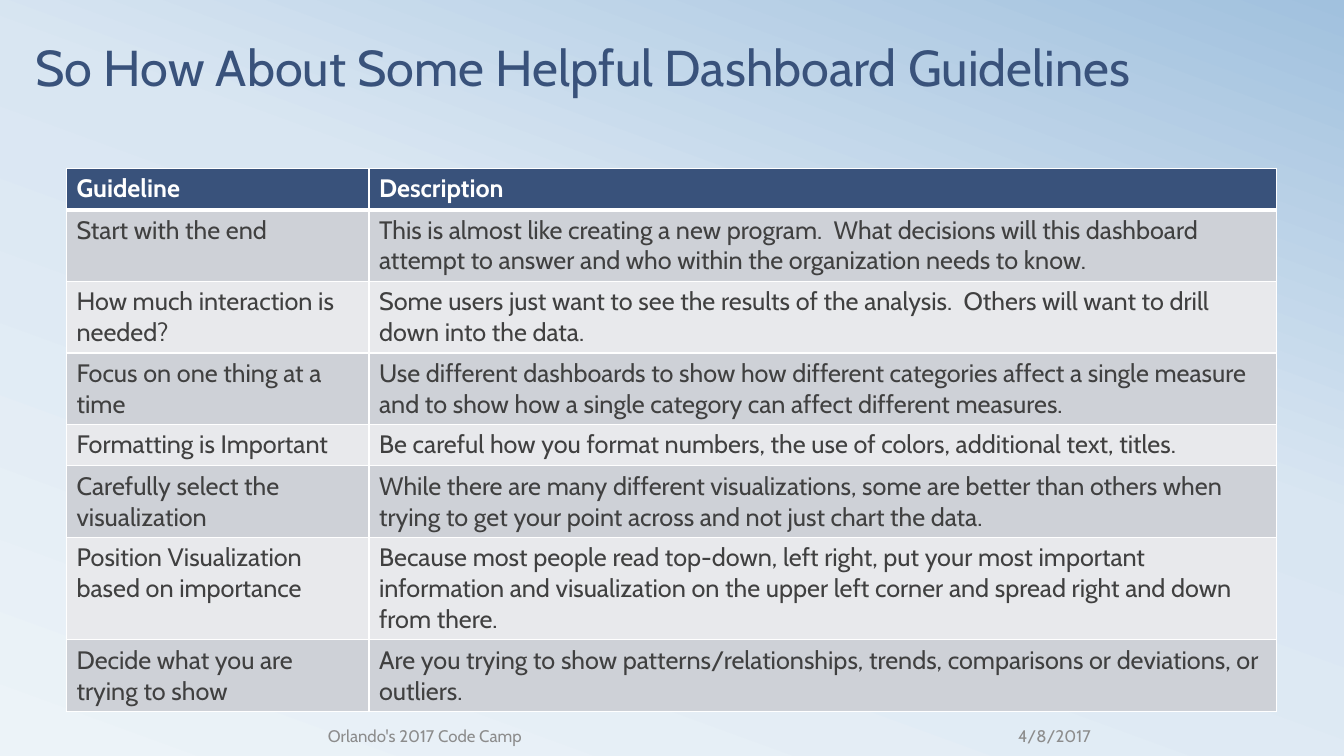
from copy import deepcopy
from dataclasses import dataclass

from lxml import etree
from pptx import Presentation
from pptx.dml.color import RGBColor
from pptx.enum.text import MSO_ANCHOR, MSO_AUTO_SIZE, PP_ALIGN
from pptx.oxml.ns import qn
from pptx.util import Pt

LEFT, CENTER = PP_ALIGN.LEFT, PP_ALIGN.CENTER
MIDDLE, BOTTOM = MSO_ANCHOR.MIDDLE, MSO_ANCHOR.BOTTOM
NO_AUTOFIT = MSO_AUTO_SIZE.NONE
PX = 9144  # 100 px to the inch

# Content
TITLE = "So How About Some Helpful Dashboard Guidelines"
GUIDELINES = [
    ("Guideline", "Description"),
    ("Start with the end",
     "This is almost like creating a new program.  What decisions will this dashboard "
     "attempt to answer and who within the organization needs to know."),
    ("How much interaction is needed?",
     "Some users just want to see the results of the analysis.  Others will want to drill "
     "down into the data."),
    ("Focus on one thing at a time",
     "Use different dashboards to show how different categories affect a single measure "
     "and to show how a single category can affect different measures."),
    ("Formatting is Important",
     "Be careful how you format numbers, the use of colors, additional text, titles."),
    ("Carefully select the visualization",
     "While there are many different visualizations, some are better than others when "
     "trying to get your point across and not just chart the data."),
    ("Position Visualization based on importance",
     "Because most people read top-down, left right, put your most important "
     "information and visualization on the upper left corner and spread right and down "
     "from there."),
    ("Decide what you are trying to show",
     "Are you trying to show patterns/relationships, trends, comparisons or deviations, or "
     "outliers."),
]
FOOTERS = [  # text, box in px, alignment
    ("4/8/2017", (1000, 710, 153, 40), LEFT),
    ("Orlando's 2017 Code Camp", (1, 710, 841, 40), CENTER),
]

# Layout in px
SLIDE_SIZE = (1333, 750)
TITLE_BOX = (25, 17, 1200, 83)
TABLE_LEFT, TABLE_TOP = 66, 167
COLUMN_WIDTHS = (300, 900)
ROW_HEIGHT = 41  # rows grow with wrapped text


@dataclass(frozen=True)
class Theme:
    font: str = "Cabin"
    navy: str = "39527B"
    body: str = "404040"
    muted: str = "8C8C8C"
    white: str = "FFFFFF"
    bands: tuple = ("E8E9EC", "CED1D7")
    sky: tuple = ((0, "ECF3F8"), (0.58, "D9E6F2"), (1, "A1C1DE"))
    sky_angle: int = 70
    title_size: int = 36
    table_size: int = 18
    footer_size: int = 12
    thin: int = 1
    thick: int = 3


THEME = Theme()


def emu(box):
    return [length * PX for length in box]


def write(frame, text, size, color, bold=False, align=LEFT):
    paragraph = frame.paragraphs[0]
    paragraph.alignment = align
    run = paragraph.add_run()
    run.text = text
    for name, value in {"name": THEME.font, "size": Pt(size), "bold": bold}.items():
        setattr(run.font, name, value)
    run.font.color.rgb = RGBColor.from_string(color)
    return paragraph


def set_frame(frame, anchor):
    settings = {"word_wrap": True, "auto_size": NO_AUTOFIT, "vertical_anchor": anchor}
    for name, value in settings.items():
        setattr(frame, name, value)


def add_borders(cell, widths):
    properties = cell._tc.get_or_add_tcPr()
    for side, width in widths.items():
        line = etree.SubElement(properties, qn(f"a:ln{side}"), w=str(Pt(width)))
        fill = etree.SubElement(line, qn("a:solidFill"))
        etree.SubElement(fill, qn("a:srgbClr"), val=THEME.white)


def paint_background(slide):
    fill = slide.background.fill
    fill.gradient()
    fill.gradient_angle = THEME.sky_angle
    stop_list = slide.element.find(".//" + qn("a:gsLst"))
    stop_list.append(deepcopy(stop_list[-1]))
    for stop, (position, color) in zip(fill.gradient_stops, THEME.sky):
        stop.position = position
        stop.color.rgb = RGBColor.from_string(color)


def add_title(slide):
    title = slide.shapes.title
    title.left, title.top, title.width, title.height = emu(TITLE_BOX)
    set_frame(title.text_frame, BOTTOM)
    paragraph = write(title.text_frame, TITLE, THEME.title_size, THEME.navy)
    paragraph.line_spacing = 0.8


def add_guidelines(slide):
    box = (TABLE_LEFT, TABLE_TOP, sum(COLUMN_WIDTHS), ROW_HEIGHT * len(GUIDELINES))
    table = slide.shapes.add_table(len(GUIDELINES), len(COLUMN_WIDTHS), *emu(box)).table
    for column, width in zip(table.columns, COLUMN_WIDTHS):
        column.width = width * PX
    for r, guideline in enumerate(GUIDELINES):
        header = r == 0
        fill = THEME.navy if header else THEME.bands[r % 2]
        color = THEME.white if header else THEME.body
        widths = {"L": THEME.thin, "R": THEME.thin,
                  "T": THEME.thick if r == 1 else THEME.thin,
                  "B": THEME.thick if header else THEME.thin}
        for c, text in enumerate(guideline):
            cell = table.cell(r, c)
            add_borders(cell, widths)
            cell.fill.solid()
            cell.fill.fore_color.rgb = RGBColor.from_string(fill)
            write(cell.text_frame, text, THEME.table_size, color, bold=header)


def add_footers(slide):
    for text, box, align in FOOTERS:
        frame = slide.shapes.add_textbox(*emu(box)).text_frame
        set_frame(frame, MIDDLE)
        write(frame, text, THEME.footer_size, THEME.muted, align=align)


def main():
    deck = Presentation()
    deck.slide_width, deck.slide_height = emu(SLIDE_SIZE)
    slide = deck.slides.add_slide(deck.slide_layouts.get_by_name("Title Only"))
    paint_background(slide)
    add_title(slide)
    add_guidelines(slide)
    add_footers(slide)
    deck.save("out.pptx")


if __name__ == "__main__":
    main()
